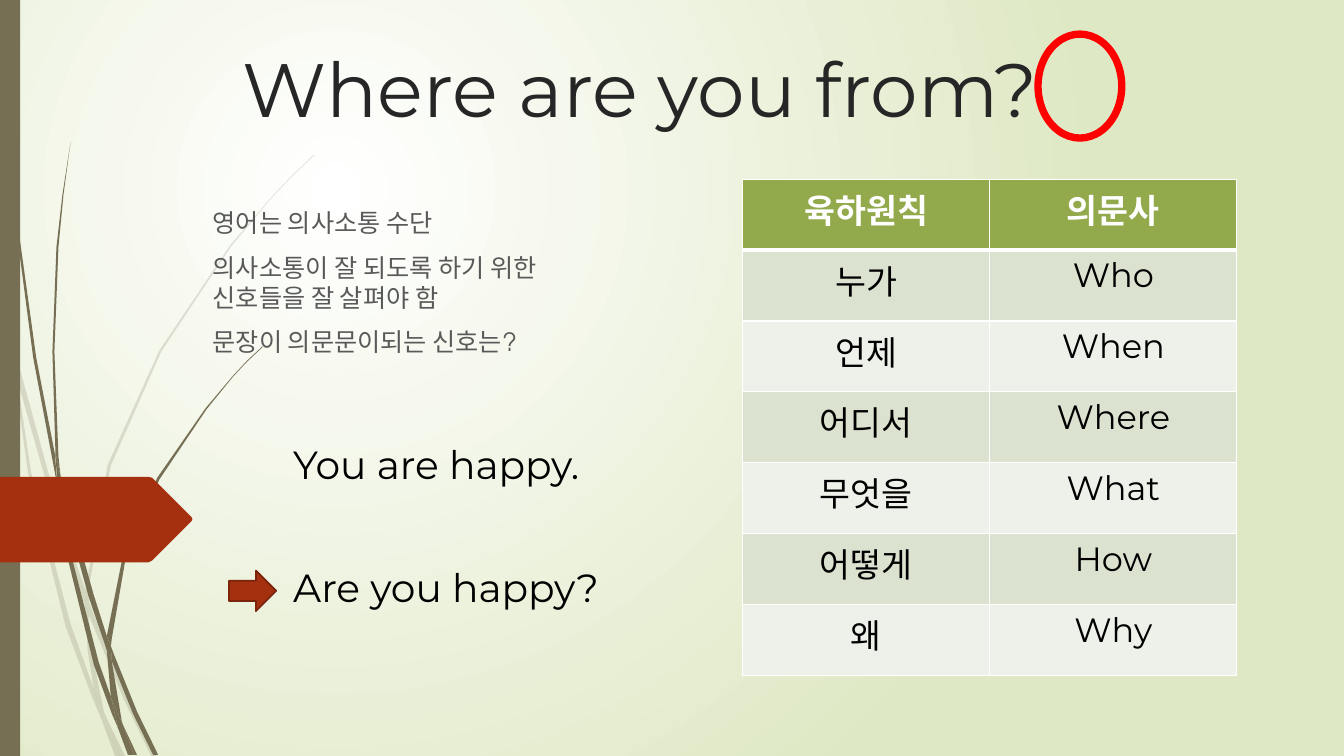
import pptx
import pptx.dml.color
import pptx.enum.shapes
import pptx.enum.text
import pptx.oxml
import pptx.oxml.ns
import pptx.util

Cm, Pt = pptx.util.Cm, pptx.util.Pt
Kind = pptx.enum.shapes.MSO_SHAPE
NS = pptx.oxml.ns.nsdecls("a", "p")
OLIVE, RUST, WHITE, BLACK = "766F54", "A53010", "FFFFFF", "000000"

# Grass blades: corners in hundredths of an inch
PALE = [
    [(11, 350), (9, 322), (0, 282), (0, 299), (10, 344)],
    [(58, 522), (84, 599), (85, 586), (62, 520), (14, 345), (17, 376)],
    [(92, 607), (88, 596), (88, 610), (123, 694), (150, 750), (155, 750), (127, 692)],
    [(119, 750), (124, 750), (105, 711)],
    [(93, 683), (70, 619), (31, 469), (17, 376), (11, 350), (28, 470), (65, 621),
     (92, 693), (101, 714), (99, 707)],
    [(84, 599), (87, 646), (93, 683), (96, 692), (105, 711), (103, 706), (91, 646),
     (88, 610), (88, 608)],
    [(88, 584), (110, 462), (160, 349), (229, 245), (268, 198), (290, 175), (312, 154),
     (312, 153), (289, 175), (268, 197), (228, 244), (158, 348), (107, 461), (85, 584),
     (85, 586), (88, 596)],
    [(101, 714), (114, 750), (119, 750)],
    [(88, 608), (88, 596), (85, 586), (84, 599)],
    [(96, 692), (93, 683), (99, 707), (101, 714), (119, 750), (105, 711)],
]
DARK = [
    [(7, 110), (17, 233), (33, 355), (56, 477), (57, 481), (55, 457), (55, 453),
     (36, 355), (19, 232), (8, 109), (5, 48), (4, 0), (3, 0), (4, 48)],
    [(88, 592), (106, 645), (106, 631), (93, 590), (60, 472), (64, 505)],
    [(113, 649), (110, 641), (111, 656), (132, 708), (152, 749), (157, 749), (136, 706)],
    [(110, 691), (98, 657), (72, 556), (64, 505), (57, 477), (68, 557), (93, 659),
     (111, 708), (117, 722), (116, 717)],
    [(60, 472), (58, 453), (54, 349), (58, 245), (63, 193), (70, 141), (62, 193),
     (56, 245), (52, 349), (55, 449)],
    [(133, 749), (136, 749), (122, 719)],
    [(57, 477), (64, 505), (60, 472), (55, 449), (55, 453)],
    [(111, 633), (125, 552), (158, 476), (205, 406), (231, 374), (245, 359), (261, 344),
     (260, 344), (245, 358), (231, 373), (204, 405), (156, 474), (122, 551), (106, 631),
     (110, 641)],
    [(117, 722), (127, 749), (131, 749)],
    [(106, 645), (110, 691), (116, 706), (122, 719), (121, 716), (111, 656), (109, 651)],
    [(106, 645), (109, 651), (111, 656), (110, 641), (106, 631)],
    [(116, 706), (110, 691), (116, 717), (117, 722), (130, 749), (133, 749), (122, 719)],
]
RIBBON = [(0, 473), (147, 473), (151, 474), (190, 513), (191, 515), (190, 517),
          (151, 556), (147, 558), (0, 558)]


def tint(code):
    return pptx.dml.color.RGBColor.from_string(code)


class Deck:
    sans = "Montserrat"

    def __init__(self):
        self.show = pptx.Presentation()
        self.show.slide_width, self.show.slide_height = Cm(33.87), Cm(19.05)
        self.slide = self.show.slides.add_slide(self.show.slide_layouts[6])
        self.items = self.slide.shapes

    def glow(self, inner, outer):
        stops = "".join(f'<a:gs pos="{at}"><a:srgbClr val="{code}"/></a:gs>'
                        for at, code in ((0, inner), (100000, outer)))
        self.slide.element.cSld.insert(0, pptx.oxml.parse_xml(
            f'<p:bg {NS}><p:bgPr><a:gradFill><a:gsLst>{stops}</a:gsLst>'
            '<a:path path="circle"><a:fillToRect l="50000" t="50000" r="100000" b="100000"/>'
            '</a:path></a:gradFill><a:effectLst/></p:bgPr></p:bg>'))

    def paint(self, shape, fill, line=None, width=1):
        shape.shadow.inherit = False
        if fill:
            shape.fill.solid()
            shape.fill.fore_color.rgb = tint(fill)
        else:
            shape.fill.background()
        if line:
            shape.line.color.rgb = tint(line)
            shape.line.width = Pt(width)
        else:
            shape.line.fill.background()

    def shape(self, kind, box, *style):
        self.paint(self.items.add_shape(kind, *map(Cm, box)), *style)

    def free(self, dots, fill, alpha=None):
        pen = self.items.build_freeform(*dots[0], scale=Cm(0.0254))
        pen.add_line_segments(dots[1:], close=True)
        form = pen.convert_to_shape()
        self.paint(form, fill)
        if alpha:
            code = form.element.spPr.find(".//" + pptx.oxml.ns.qn("a:srgbClr"))
            code.append(pptx.oxml.parse_xml(f'<a:alpha {NS} val="{alpha * 1000}"/>'))

    def font(self, para, size, code, name=sans, bold=False):
        face = para.font
        face.size, face.name, face.bold = Pt(size), name, bold
        face.color.rgb = tint(code)

    def text(self, box, lines, size, code, name=sans, gap=0, anchor="TOP"):
        frame = self.items.add_textbox(*map(Cm, box)).text_frame
        frame.word_wrap = True
        frame.vertical_anchor = pptx.enum.text.MSO_ANCHOR[anchor]
        frame.text = "\n".join(lines)
        for para in frame.paragraphs:
            para.space_before = Pt(gap)
            self.font(para, size, code, name)

    def table(self, box, rows, head, bands):
        grid = self.items.add_table(len(rows), len(rows[0]), *map(Cm, box)).table
        for r, row in enumerate(rows):
            for c, word in enumerate(row):
                cell = grid.cell(r, c)
                cell.text = word
                para = cell.text_frame.paragraphs[0]
                para.alignment = pptx.enum.text.PP_ALIGN.CENTER
                self.font(para, 24, BLACK if r else WHITE, bold=r == 0)
                # The rule under the header is thicker
                wide = {"T": 3 if r == 1 else 1, "B": 1 if r else 3}
                for side in "LRTB":
                    cell._tc.get_or_add_tcPr().append(pptx.oxml.parse_xml(
                        f'<a:ln{side} {NS} w="{Pt(wide.get(side, 1))}"><a:solidFill>'
                        f'<a:srgbClr val="{WHITE}"/></a:solidFill></a:ln{side}>'))
                cell.fill.solid()
                cell.fill.fore_color.rgb = tint(bands[(r - 1) % 2] if r else head)


deck = Deck()

# Backdrop
deck.glow(WHITE, "DFE8C4")
for blade in PALE:
    deck.free(blade, OLIVE, 20)
for blade in DARK:
    deck.free(blade, OLIVE)
deck.shape(Kind.RECTANGLE, (0, 0, 0.51, 19.05), OLIVE)
deck.free(RIBBON, RUST)

# Title and notes on signals
deck.text((5.87, 0.66, 24.77, 2.82), ["Where are you from?"], 54, "262626", anchor="BOTTOM")
deck.text((5.11, 5.11, 10.59, 4.34),
          ["영어는 의사소통 수단", "의사소통이 잘 되도록 하기 위한 신호들을 잘 살펴야 함",
           "문장이 의문문이되는 신호는?"], 18, "595959", "TeX Gyre Adventor", 10)

# Statement turned into a question
deck.text((7.14, 10.97, 8.56, 2.64), ["You are happy."], 28, BLACK)
deck.shape(Kind.RIGHT_ARROW, (5.77, 14.38, 1.19, 1.02), RUST, "7A240C", 1.25)
deck.text((7.14, 14.07, 9.22, 2.64), ["Are you happy?"], 28, BLACK)

# Question words
deck.table((18.72, 4.52, 12.45, 12.5),
           [("육하원칙", "의문사"), ("누가", "Who"), ("언제", "When"), ("어디서", "Where"),
            ("무엇을", "What"), ("어떻게", "How"), ("왜", "Why")],
           "92AA4C", ("DCE2D0", "EEF1E9"))

# Ring beside the question mark
deck.shape(Kind.OVAL, (26.16, 0.86, 2.11, 2.62), None, "FF0000", 5.25)

deck.show.save("out.pptx")
